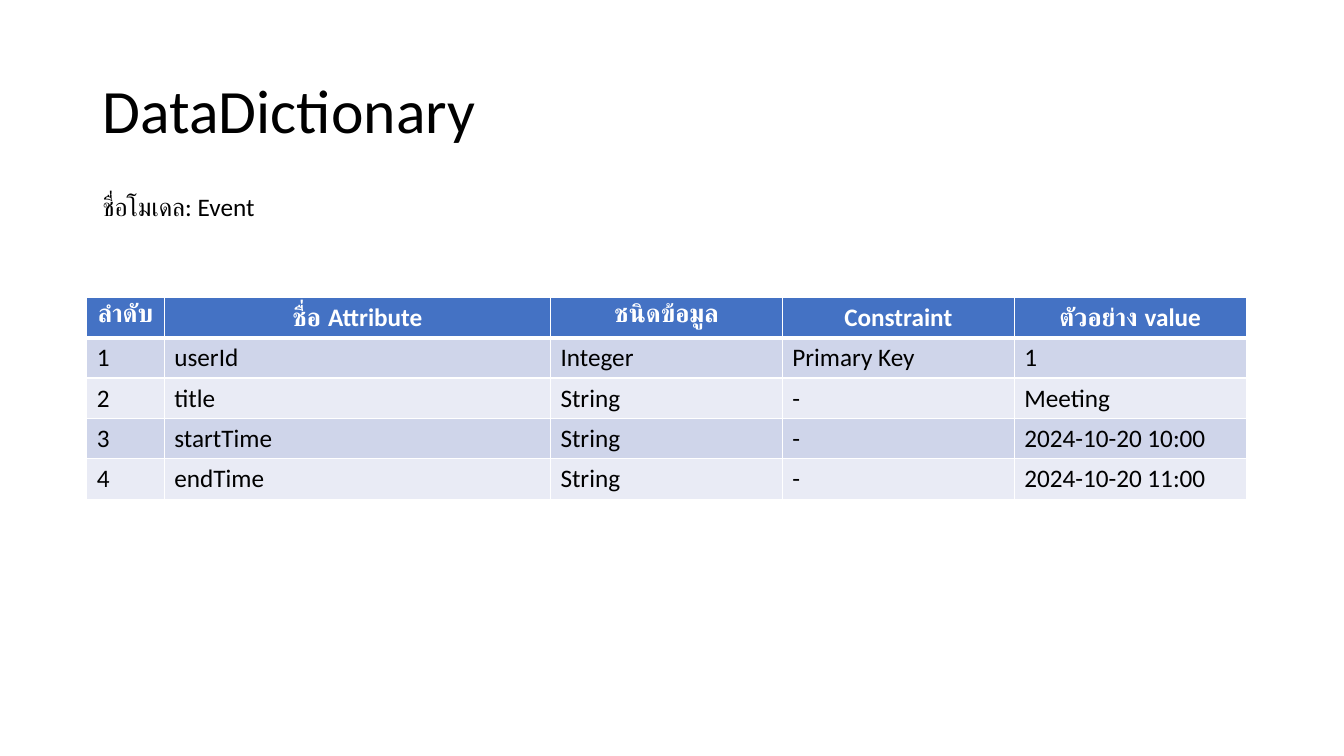
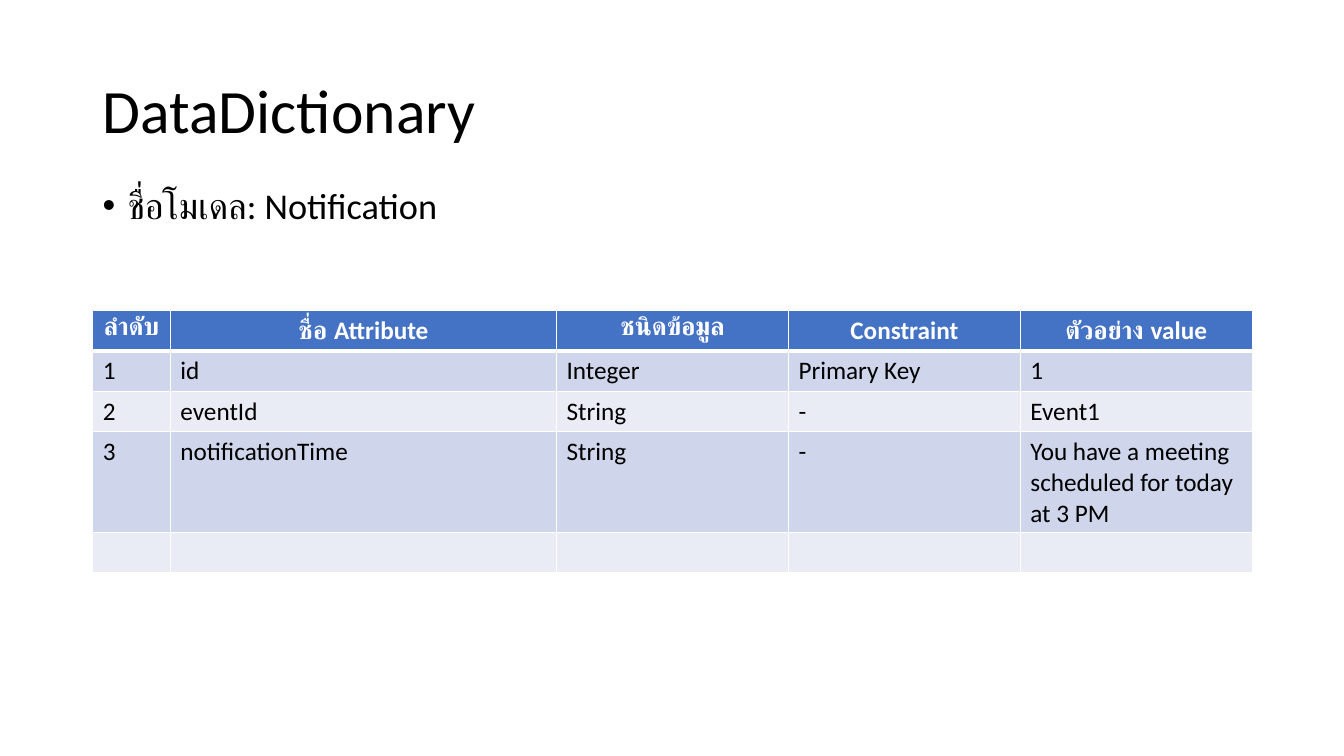
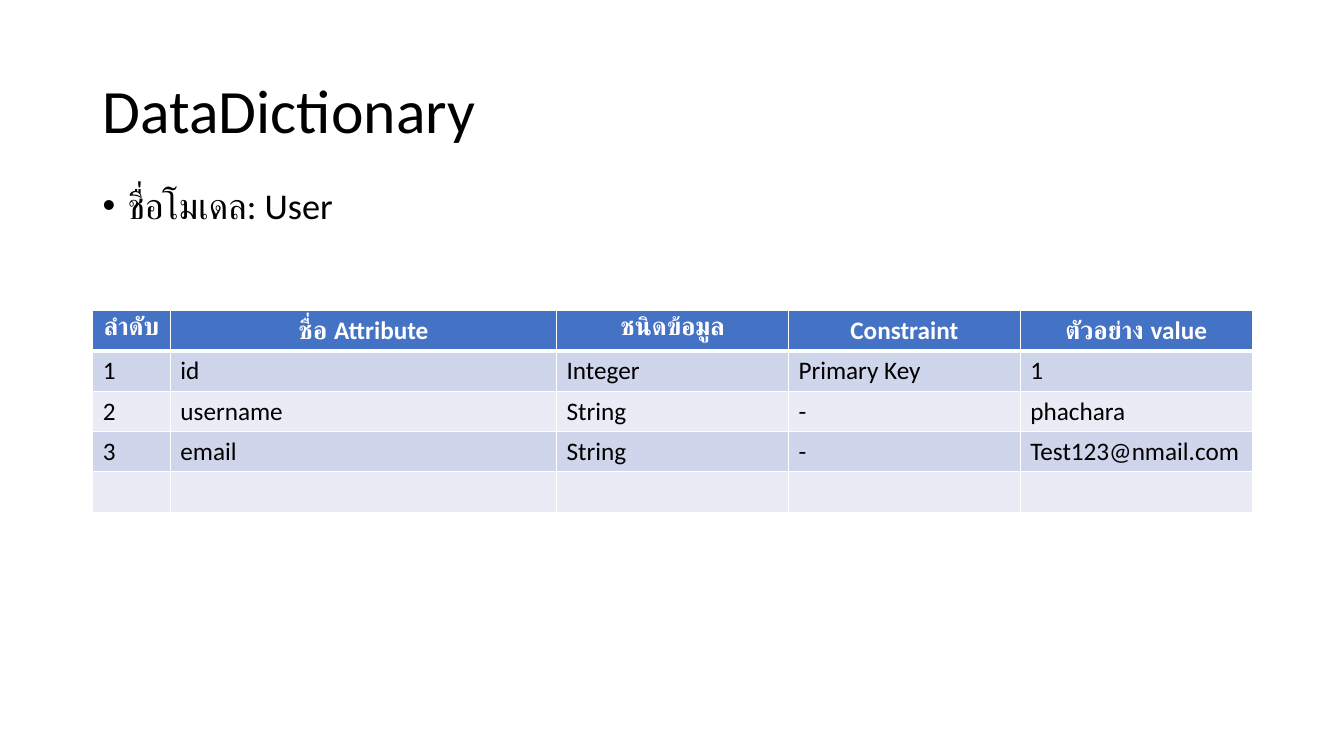
"""Build three data dictionary slides, each with a title, a model name and a table."""
from lxml import etree
from pptx import Presentation
from pptx import util as u
from pptx.dml.color import RGBColor
from pptx.enum import text
from pptx.oxml.ns import qn

HUES = {"ink": "000000", "white": "FFFFFF", "head": "4472C4",
        "odd": "CFD5EA", "even": "E9EBF5"}
FONT = "Calibri"
LEFT, WIDE = 0.92, 11.5
COLS = (0.77, 3.83, 2.3, 2.3, 2.3)
ROW = 0.4
HEAD = ("ลำดับ", "ชื่อ Attribute", "ชนิดข้อมูล", "Constraint", "ตัวอย่าง value")
BLANK = ("",) * len(COLS)


def hue(name):
    return RGBColor.from_string(HUES[name])


def write(frame, words, size=18, color="ink", bold=False, align=None,
          lines=None, before=None, bullet=False):
    par = frame.paragraphs[0]
    par.alignment = align
    if lines:
        par.line_spacing = lines
    if before:
        par.space_before = u.Pt(before)
    if bullet:
        props = par._p.get_or_add_pPr()
        props.set("marL", str(u.Inches(0.25)))
        props.set("indent", str(u.Inches(-0.25)))
        etree.SubElement(props, qn("a:buFont"), typeface="Arial")
        etree.SubElement(props, qn("a:buChar"), char="•")
    run = par.add_run()
    run.text = words
    font = run.font
    font.name, font.size, font.bold = FONT, u.Pt(size), bold
    font.color.rgb = hue(color)


class Deck:
    def __init__(self):
        self.show = Presentation()
        self.show.slide_width = u.Inches(13.33)
        self.show.slide_height = u.Inches(7.5)
        self.slide = None

    def page(self):
        self.slide = self.show.slides.add_slide(self.show.slide_layouts[6])
        self.label("DataDictionary", 0.4, WIDE, 1.45, size=44, lines=0.9,
                   anchor=text.MSO_ANCHOR.MIDDLE)

    def label(self, words, top, wide, tall, anchor=text.MSO_ANCHOR.TOP, **style):
        box = self.slide.shapes.add_textbox(
            u.Inches(LEFT), u.Inches(top), u.Inches(wide), u.Inches(tall))
        frame = box.text_frame
        frame.word_wrap = True
        frame.vertical_anchor = anchor
        write(frame, words, **style)

    def edge(self, cell, side, width):
        line = etree.SubElement(cell._tc.get_or_add_tcPr(), qn("a:ln" + side),
                                w=str(u.Pt(width)))
        fill = etree.SubElement(line, qn("a:solidFill"))
        etree.SubElement(fill, qn("a:srgbClr"), val=HUES["white"])

    def cell(self, cell, words, row):
        for side in "LRTB":
            thick = (row == 0 and side == "B") or (row == 1 and side == "T")
            self.edge(cell, side, 3 if thick else 1)
        cell.fill.solid()
        cell.fill.fore_color.rgb = hue(
            "head" if row == 0 else "odd" if row % 2 else "even")
        if row == 0:
            write(cell.text_frame, words, color="white", bold=True,
                  align=text.PP_ALIGN.CENTER)
        elif words:
            write(cell.text_frame, words)

    def table(self, left, top, rows):
        rows = (HEAD, *rows)
        grid = self.slide.shapes.add_table(
            len(rows), len(COLS), u.Inches(left), u.Inches(top),
            u.Inches(WIDE), u.Inches(ROW * len(rows))).table
        for col, wide in zip(grid.columns, COLS):
            col.width = u.Inches(wide)
        for r, row in enumerate(rows):
            grid.rows[r].height = u.Inches(ROW)
            for c, words in enumerate(row):
                self.cell(grid.cell(r, c), words, r)


def main():
    deck = Deck()

    deck.page()
    deck.table(0.86, 2.95, (
        ("1", "userId", "Integer", "Primary Key", "1"),
        ("2", "title", "String", "-", "Meeting"),
        ("3", "startTime", "String", "-", "2024-10-20 10:00"),
        ("4", "endTime", "String", "-", "2024-10-20 11:00")))
    deck.label("ชื่อโมเดล: Event", 1.85, 4.09, 0.4)

    models = {
        "Notification": (
            ("1", "id", "Integer", "Primary Key", "1"),
            ("2", "eventId", "String", "-", "Event1"),
            ("3", "notificationTime", "String", "-",
             "You have a meeting scheduled for today at 3 PM"),
            BLANK),
        "User": (
            ("1", "id", "Integer", "Primary Key", "1"),
            ("2", "username", "String", "-", "phachara"),
            ("3", "email", "String", "-", "Test123@nmail.com"),
            BLANK)}
    for name, rows in models.items():
        deck.page()
        deck.label(f"ชื่อโมเดล: {name}", 1.85, WIDE, 0.47, size=25.9,
                   lines=0.8, before=10, bullet=True)
        deck.table(LEFT, 3.08, rows)

    deck.show.save("out.pptx")


if __name__ == "__main__":
    main()
